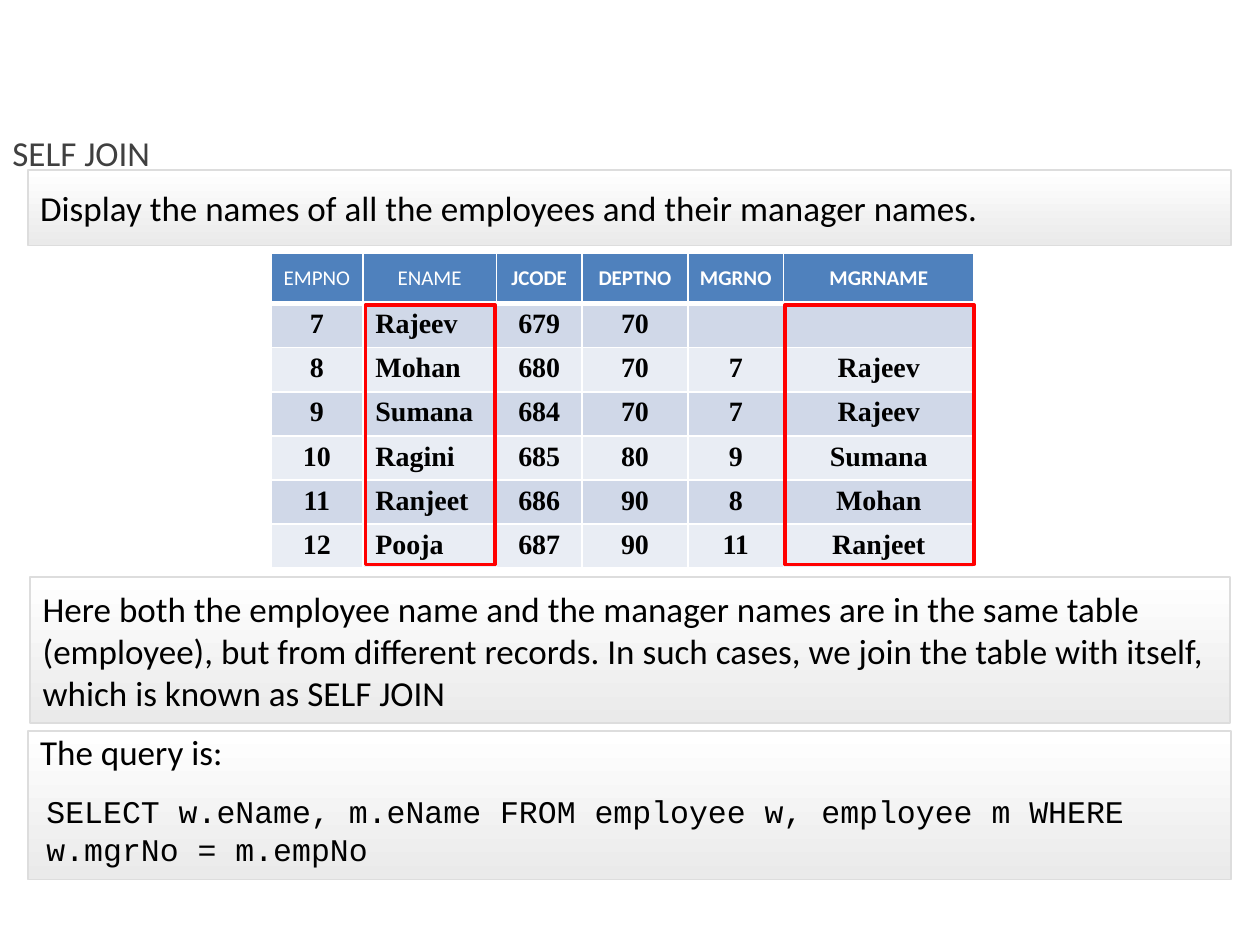
"""Build a slide that explains the SQL self join with an employee table."""
import pptx
import pptx.dml.color
import pptx.enum.shapes
import pptx.enum.text
import pptx.oxml
import pptx.oxml.ns
import pptx.util

COLORS = {
    "title": "404040", "text": "000000", "white": "FFFFFF",
    "panel_end": "EAEAEA", "panel_edge": "DDDDDD",
    "header": "4F81BD", "odd": "D0D8E8", "even": "E9EDF4", "highlight": "FF0000",
}
RGB = {name: pptx.dml.color.RGBColor.from_string(value) for name, value in COLORS.items()}
ANCHOR = pptx.enum.text.MSO_ANCHOR
ALIGN = pptx.enum.text.PP_ALIGN
RECTANGLE = pptx.enum.shapes.MSO_SHAPE.RECTANGLE

deck = pptx.Presentation()
deck.slide_width = pptx.util.Inches(10)
deck.slide_height = pptx.util.Inches(7.5)
column = deck.slide_width / 100
row = deck.slide_height / 75
slide = deck.slides.add_slide(deck.slide_layouts[6])


def place(left, top, width, height):
    return [int(n * unit) for n, unit in zip((left, top, width, height), (column, row) * 2)]


def write(paragraph, text, color, paragraph_format, font_format):
    for name, value in paragraph_format.items():
        setattr(paragraph, name, value)
    run = paragraph.add_run()
    run.text = text
    for name, value in font_format.items():
        setattr(run.font, name, value)
    run.font.color.rgb = RGB[color]


body_font = {"name": "Calibri", "size": pptx.util.Pt(20)}
code_font = {"name": "Courier New", "size": pptx.util.Pt(18)}
flush = {"margin_top": 0, "margin_bottom": 0}

panels = [
    ((2.2, 13.5, 95.5, 6), ANCHOR.MIDDLE,
     "Display the names of all the employees and their manager names."),
    ((2.4, 45.8, 95.2, 11.6), ANCHOR.MIDDLE,
     "Here both the employee name and the manager names are in the same table (employee), "
     "but from different records. In such cases, we join the table with itself, "
     "which is known as SELF JOIN"),
    ((2.2, 58, 95.5, 11.8), ANCHOR.TOP, "The query is:"),
]
for area, anchor, statement in panels:
    panel = slide.shapes.add_shape(RECTANGLE, *place(*area))
    panel.shadow.inherit = False
    panel.fill.gradient()
    panel.fill.gradient_angle = 270
    for stop, shade in zip(panel.fill.gradient_stops, ("white", "panel_end")):
        stop.color.rgb = RGB[shade]
    panel.line.color.rgb = RGB["panel_edge"]
    panel.line.width = pptx.util.Pt(1)
    for name, value in {**flush, "word_wrap": True, "vertical_anchor": anchor}.items():
        setattr(panel.text_frame, name, value)
    write(panel.text_frame.paragraphs[0], statement, "text", {"alignment": ALIGN.LEFT}, body_font)

captions = [
    ((0, 8.3, 70.9, 5.4), "SELF JOIN", "title", {"line_spacing": 1.5}, body_font),
    ((2.7, 62.4, 94.9, 7.1),
     "SELECT w.eName, m.eName FROM employee w, employee m WHERE w.mgrNo = m.empNo",
     "text", {}, code_font),
]
for area, caption, color, spacing, font in captions:
    frame = slide.shapes.add_textbox(*place(*area)).text_frame
    frame.word_wrap = True
    write(frame.paragraphs[0], caption, color, spacing, font)

records = [
    ("EMPNO", "ENAME", "JCODE", "DEPTNO", "MGRNO", "MGRNAME"),
    ("7", "Rajeev", "679", "70", "", ""),
    ("8", "Mohan", "680", "70", "7", "Rajeev"),
    ("9", "Sumana", "684", "70", "7", "Rajeev"),
    ("10", "Ragini", "685", "80", "9", "Sumana"),
    ("11", "Ranjeet", "686", "90", "8", "Mohan"),
    ("12", "Pooja", "687", "90", "11", "Ranjeet"),
]
field_widths = (7.3, 10.6, 6.8, 8.4, 7.6, 15.1)
record_heights = (4,) + (3.5,) * 6
employees = slide.shapes.add_table(
    len(records), len(field_widths),
    *place(21.5, 20.1, sum(field_widths), sum(record_heights))).table
for field, width in zip(employees.columns, field_widths):
    field.width = int(width * column)
for record, height in zip(employees.rows, record_heights):
    record.height = int(height * row)

for r, record in enumerate(records):
    heading = r == 0
    for c, value in enumerate(record):
        cell = employees.cell(r, c)
        margin = 0 if heading else int(column)
        for name, setting in {**flush, "margin_left": margin, "margin_right": margin,
                              "vertical_anchor": ANCHOR.MIDDLE}.items():
            setattr(cell, name, setting)
        for side in "LRTB":
            thickness = pptx.util.Pt(3 if heading and side == "B" else 1)
            cell._tc.get_or_add_tcPr().append(pptx.oxml.parse_xml(
                f'<a:ln{side} {pptx.oxml.ns.nsdecls("a")} w="{thickness}"><a:solidFill>'
                f'<a:srgbClr val="{COLORS["white"]}"/></a:solidFill></a:ln{side}>'))
        cell.fill.solid()
        cell.fill.fore_color.rgb = RGB["header" if heading else ("even", "odd")[r % 2]]
        if value:
            left_aligned = c == 1 and not heading
            write(cell.text_frame.paragraphs[0], value, "white" if heading else "text",
                  {"alignment": ALIGN.LEFT if left_aligned else ALIGN.CENTER,
                   "line_spacing": 0.86},
                  {"name": "Calibri" if heading else "Times New Roman",
                   "size": pptx.util.Pt(12 if heading else 16),
                   "bold": not heading or c > 1})

for left, width in ((29, 10.3), (62.3, 15)):
    highlight = slide.shapes.add_shape(RECTANGLE, *place(left, 24.2, width, 20.6))
    highlight.shadow.inherit = False
    highlight.fill.background()
    highlight.line.color.rgb = RGB["highlight"]
    highlight.line.width = pptx.util.Pt(2)

deck.save("out.pptx")
